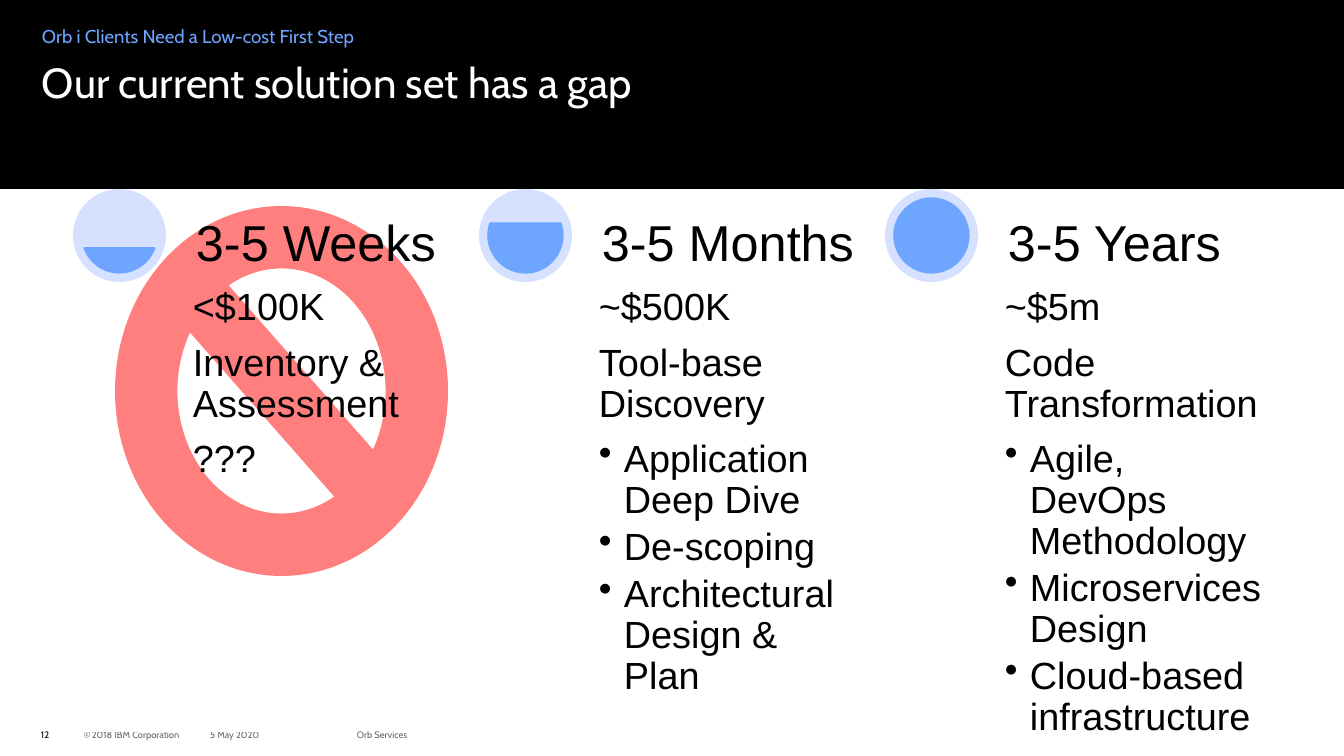
import dataclasses

import pptx
import pptx.dml.color
import pptx.enum.shapes
import pptx.enum.text
import pptx.oxml.ns
import pptx.util
from lxml import etree

EMU_PER_PX = 914400 / 100.8
SHAPES = pptx.enum.shapes.MSO_SHAPE
ANCHORS = pptx.enum.text.MSO_ANCHOR


@dataclasses.dataclass(frozen=True)
class Theme:
    black: str = "000000"
    white: str = "FFFFFF"
    blue: str = "6EA6FF"
    pale_blue: str = "D5E1FF"
    red: str = "FF0000"
    brand_font: str = "Cabin"
    body_font: str = "Arial"
    title_size: float = 30
    kicker_size: float = 13.3
    heading_size: float = 36
    body_size: float = 27
    footer_size: float = 6.7
    footer_gap_size: float = 3.3


THEME = Theme()

STAGES = [
    ("3-5 Weeks", (11.68, 96.32), ["<$100K", "Inventory & Assessment", "???"], []),
    ("3-5 Months", (204.32, 119.68), ["~$500K", "Tool-base Discovery"],
     ["Application Deep Dive", "De-scoping", "Architectural Design & Plan"]),
    ("3-5 Years", (162, 162), ["~$5m", "Code Transformation"],
     ["Agile, DevOps Methodology", "Microservices Design", "Cloud-based infrastructure"]),
]


def px(length):
    return pptx.util.Emu(round(length * EMU_PER_PX))


def color(value):
    return pptx.dml.color.RGBColor.from_string(value)


def set_opacity(element, percent):
    for tint in element.iter(pptx.oxml.ns.qn("a:srgbClr")):
        alpha = etree.SubElement(tint, pptx.oxml.ns.qn("a:alpha"))
        alpha.set("val", str(percent * 1000))


def style_font(para, name, size, value):
    para.font.name = name
    para.font.size = pptx.util.Pt(size)
    para.font.color.rgb = color(value)


def setup_frame(box, inset=0, anchor=ANCHORS.TOP):
    frame = box.text_frame
    frame.word_wrap = True
    frame.auto_size = pptx.enum.text.MSO_AUTO_SIZE.NONE
    frame.vertical_anchor = anchor
    frame.margin_left = frame.margin_right = px(inset)
    frame.margin_top = frame.margin_bottom = px(inset)
    return frame


def add_text_frame(page, bounds, inset=0, anchor=ANCHORS.TOP):
    return setup_frame(page.shapes.add_textbox(*map(px, bounds)), inset, anchor)


def add_figure(page, kind, bounds, fill, outline=None):
    shape = page.shapes.add_shape(kind, *map(px, bounds))
    shape.shadow.inherit = False
    shape.fill.solid()
    shape.fill.fore_color.rgb = color(fill)
    if outline:
        shape.line.color.rgb = color(outline)
        shape.line.width = pptx.util.Pt(1)
    else:
        shape.line.fill.background()
    return shape


def add_bullet(para):
    properties = para._p.get_or_add_pPr()
    properties.set("marL", str(px(25)))
    properties.set("indent", str(px(-25)))
    bullet = etree.SubElement(properties, pptx.oxml.ns.qn("a:buChar"))
    bullet.set("char", "•")


def add_title(page, text):
    title = page.shapes.title
    title.left, title.top, title.width, title.height = map(px, (42, 62, 1260, 105))
    para = setup_frame(title).paragraphs[0]
    para.text = text
    para.alignment = pptx.enum.text.PP_ALIGN.LEFT
    para.line_spacing = 0.9
    style_font(para, THEME.brand_font, THEME.title_size, THEME.white)
    title.element.getparent().append(title.element)


def add_kicker(page, text):
    para = add_text_frame(page, (42, 24, 605, 25)).paragraphs[0]
    para.text = text
    para.line_spacing = 1.05
    style_font(para, THEME.brand_font, THEME.kicker_size, THEME.blue)


def add_footer(page, left, width, parts, opacity=60):
    frame = add_text_frame(page, (left, 725, width, 20), anchor=ANCHORS.MIDDLE)
    para = frame.paragraphs[0]
    style_font(para, THEME.brand_font, THEME.footer_size, THEME.black)
    set_opacity(para._p, opacity)
    for part in parts:
        span = para.add_run()
        span.text = part
        if part == " ":
            span.font.size = pptx.util.Pt(THEME.footer_gap_size)


def add_stage(page, left, heading, chord_angles, statements, bullets):
    add_figure(page, SHAPES.OVAL, (left, 189, 93, 93), THEME.pale_blue)
    level = add_figure(page, SHAPES.CHORD, (left + 9, 198, 75, 75), THEME.blue, THEME.blue)
    level.adjustments[0], level.adjustments[1] = chord_angles

    body = add_text_frame(page, (left + 113, 281, 274, 390), inset=7)
    for index, text in enumerate(statements + bullets):
        para = body.add_paragraph() if index else body.paragraphs[0]
        para.text = text
        para.line_spacing = 0.9
        is_bullet = index >= len(statements)
        para.space_after = pptx.util.Pt(4.5 if is_bullet else 10.4)
        if is_bullet:
            add_bullet(para)
        style_font(para, THEME.body_font, THEME.body_size, THEME.black)

    title = add_text_frame(page, (left + 113, 189, 274, 93), 10, ANCHORS.BOTTOM)
    para = title.paragraphs[0]
    para.text = heading
    para.line_spacing = 0.9
    style_font(para, THEME.body_font, THEME.heading_size, THEME.black)


def main():
    deck = pptx.Presentation()
    deck.slide_width, deck.slide_height = px(1344), px(756)
    page = deck.slides.add_slide(deck.slide_layouts[5])

    add_footer(page, 84, 210, ["©", " ", "2018 IBM Corporation"])
    add_footer(page, 208, 126, [" 5 May 2020"])
    add_footer(page, 357, 210, ["Orb Services"])
    add_footer(page, 41, 30, ["12"], opacity=100)

    add_figure(page, SHAPES.RECTANGLE, (0, 0, 1344, 189), THEME.black)
    barrier = add_figure(page, SHAPES.NO_SYMBOL, (115, 206, 333, 370), THEME.red)
    set_opacity(barrier.element.spPr, 50)
    add_kicker(page, "Orb i Clients Need a Low-cost First Step")

    for index, stage in enumerate(STAGES):
        add_stage(page, 73 + 406 * index, *stage)
    add_title(page, "Our current solution set has a gap")

    deck.save("out.pptx")


if __name__ == "__main__":
    main()
